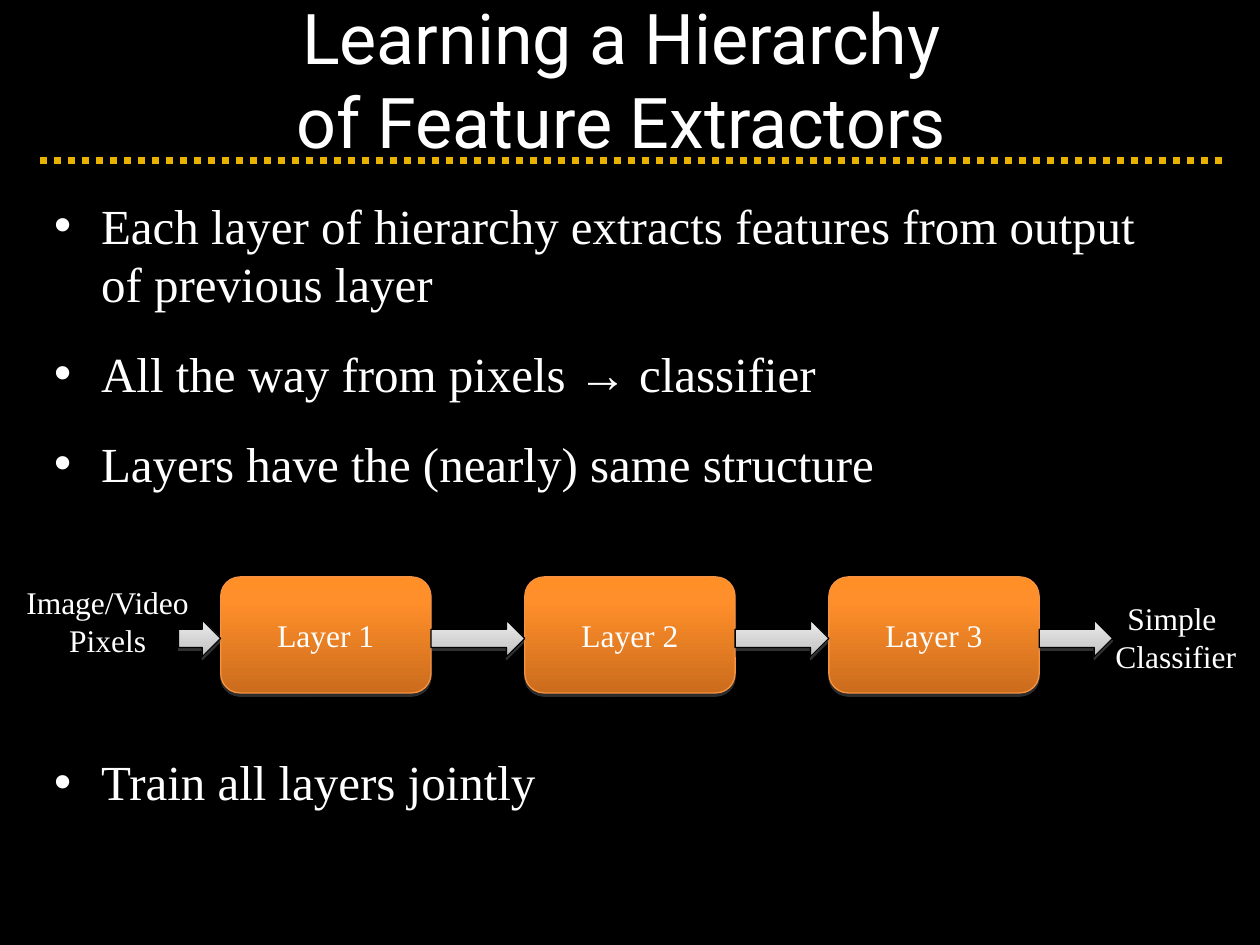
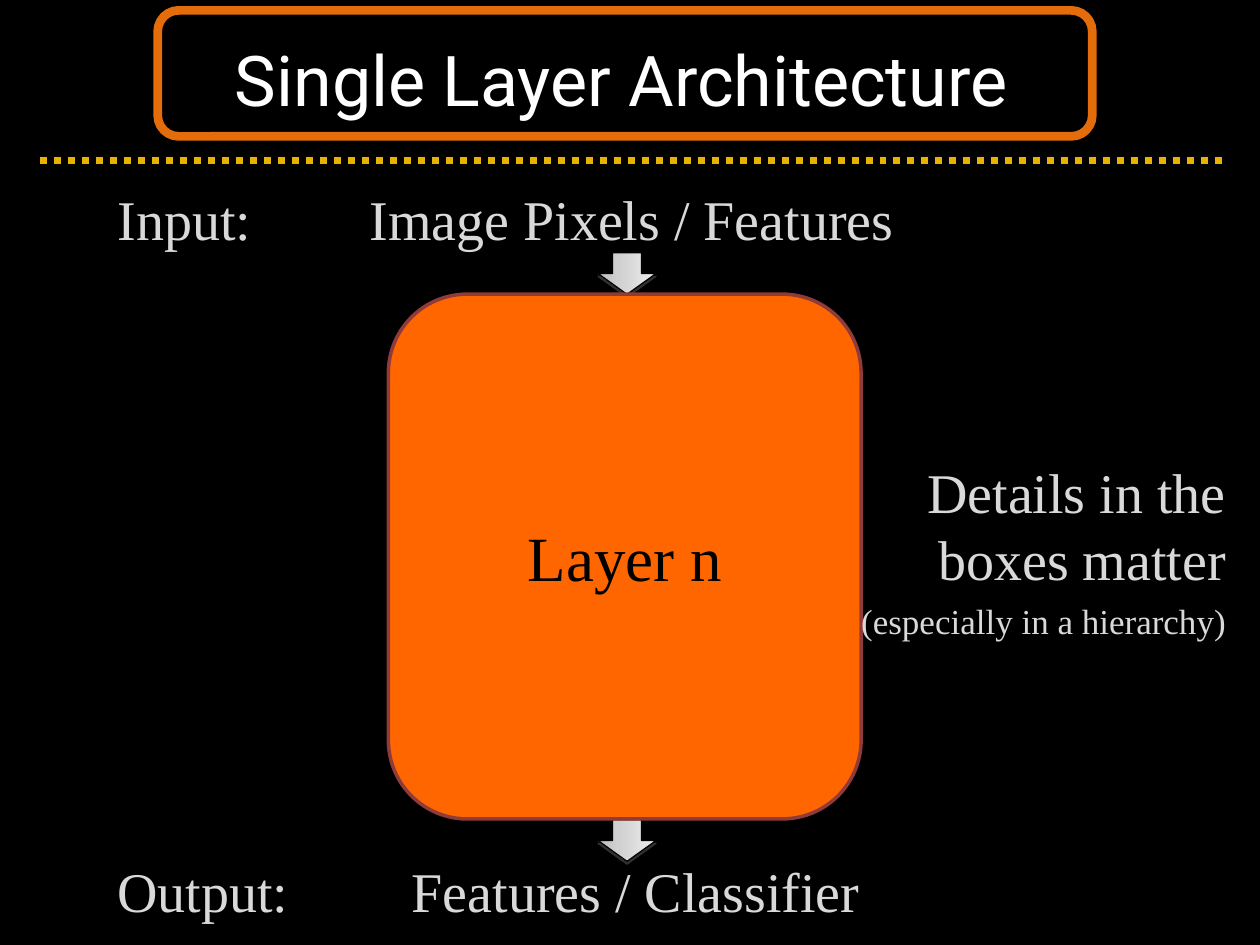
from lxml import etree
from pptx import Presentation
from pptx.dml.color import RGBColor
from pptx.enum.dml import MSO_LINE
from pptx.enum.shapes import MSO_CONNECTOR, MSO_SHAPE
from pptx.enum.text import MSO_ANCHOR, MSO_AUTO_SIZE, PP_ALIGN
from pptx.oxml.ns import qn
from pptx.util import Cm, Pt

LEFT, CENTER, RIGHT = PP_ALIGN.LEFT, PP_ALIGN.CENTER, PP_ALIGN.RIGHT
TOP, MIDDLE = MSO_ANCHOR.TOP, MSO_ANCHOR.MIDDLE
ROUNDED, ARROW = MSO_SHAPE.ROUNDED_RECTANGLE, MSO_SHAPE.RIGHT_ARROW
STRAIGHT, DOTTED = MSO_CONNECTOR.STRAIGHT, MSO_LINE.ROUND_DOT
NO_FIT = MSO_AUTO_SIZE.NONE

TITLE_FONT, BODY_FONT = "Roboto", "Times New Roman"
BLACK, WHITE, LIGHT_GREY = "000000", "FFFFFF", "D9D9D9"
GOLD, ORANGE, DARK_ORANGE, MAROON = "EAB200", "FF6600", "E46C0A", "8E3B39"
LAYER_EDGE, SHADOW = "F69240", "808080"
LAYER_GRADIENT = [(0, "FF8F26"), (20, "FF8F2A"), (100, "CB6C1D")]
ARROW_GRADIENT = [(0, "EDEDED"), (65, "D0D0D0"), (100, "BCBCBC")]
BULLET_INDENT = Cm(0.95)


def color(hex_value):
    return RGBColor.from_string(hex_value)


def write_text(para, text, size=18, font=BODY_FONT, fill=WHITE, align=LEFT,
               before=0, after=0):
    para.text = text
    para.alignment = align
    para.space_before, para.space_after = Pt(before), Pt(after)
    for span in para.runs:
        span.font.size = Pt(size)
        span.font.name = font
        span.font.color.rgb = color(fill)


def set_bullet(para):
    properties = para._p.get_or_add_pPr()
    properties.set("marL", str(BULLET_INDENT))
    properties.set("indent", str(-BULLET_INDENT))
    etree.SubElement(properties, qn("a:buFont"), typeface="Arial")
    etree.SubElement(properties, qn("a:buChar"), char="•")


def set_tab(para, position):
    tabs = etree.SubElement(para._p.get_or_add_pPr(), qn("a:tabLst"))
    etree.SubElement(tabs, qn("a:tab"), pos=str(Cm(position)), algn="l")


def set_gradient(shape, stops):
    shape.fill.gradient()
    shape.fill.gradient_angle = 270
    stop_list = shape._element.spPr.find(".//" + qn("a:gsLst"))
    for stop in list(stop_list):
        stop_list.remove(stop)
    for percent, hex_value in stops:
        stop = etree.SubElement(stop_list, qn("a:gs"), pos=str(percent * 1000))
        etree.SubElement(stop, qn("a:srgbClr"), val=hex_value)


def set_shadow(shape, distance, opacity):
    effects = shape._element.spPr.find(qn("a:effectLst"))
    shadow = etree.SubElement(effects, qn("a:outerShdw"), blurRad="0",
                              dist=str(Pt(distance)), dir="5400000",
                              rotWithShape="0")
    tint = etree.SubElement(shadow, qn("a:srgbClr"), val=SHADOW)
    etree.SubElement(tint, qn("a:alpha"), val=str(opacity * 1000))


def add_block(page, kind, left, top, width, height, line, line_width,
              fill=None, gradient=None):
    shape = page.shapes.add_shape(kind, Cm(left), Cm(top), Cm(width), Cm(height))
    shape.shadow.inherit = False
    if gradient:
        set_gradient(shape, gradient)
    elif fill:
        shape.fill.solid()
        shape.fill.fore_color.rgb = color(fill)
    else:
        shape.fill.background()
    shape.line.color.rgb = color(line)
    shape.line.width = Pt(line_width)
    return shape


def add_label(shape, text, **text_format):
    shape.text_frame.vertical_anchor = MIDDLE
    write_text(shape.text_frame.paragraphs[0], text, align=CENTER, **text_format)


def add_arrow(page, left, top, width, height, rotation=0):
    arrow = add_block(page, ARROW, left, top, width, height, BLACK, 0.75,
                      gradient=ARROW_GRADIENT)
    arrow.rotation = rotation
    set_shadow(arrow, 1.6, 38)


def add_layer(page, left, top, width, height, text):
    layer = add_block(page, ROUNDED, left, top, width, height, LAYER_EDGE, 0.75,
                      gradient=LAYER_GRADIENT)
    set_shadow(layer, 1.8, 35)
    add_label(layer, text)


def add_text_box(page, left, top, width, height, wrap=True):
    box = page.shapes.add_textbox(Cm(left), Cm(top), Cm(width), Cm(height))
    box.text_frame.word_wrap = wrap
    box.text_frame.auto_size = NO_FIT
    box.text_frame.vertical_anchor = TOP
    return box.text_frame


def add_caption(page, left, top, width, height, text):
    frame = add_text_box(page, left, top, width, height, wrap=False)
    write_text(frame.paragraphs[0], text, align=CENTER)


def add_bullets(page, top, items):
    frame = add_text_box(page, 0.84, top, 22.86, 4.65)
    for index, item in enumerate(items):
        para = frame.add_paragraph() if index else frame.paragraphs[0]
        set_bullet(para)
        write_text(para, item, size=28, before=5.6 if index else 0, after=12)


def add_tabbed_line(page, top, tab, text):
    para = add_text_box(page, 2.12, top, 18.2, 1.9).paragraphs[0]
    set_tab(para, tab)
    write_text(para, text, size=32, fill=LIGHT_GREY)


def add_page(deck, title_text):
    page = deck.slides.add_slide(deck.slide_layouts[5])
    title = page.shapes.title
    title.left, title.top, title.width, title.height = Cm(1.27), Cm(0), Cm(22.86), Cm(3.18)
    title.text_frame.auto_size = NO_FIT
    add_label(title, title_text, size=40, font=TITLE_FONT)
    rule = page.shapes.add_connector(STRAIGHT, Cm(0.81), Cm(3.23), Cm(24.77), Cm(3.23))
    rule.line.color.rgb = color(GOLD)
    rule.line.width = Pt(4)
    rule.line.dash_style = DOTTED
    etree.SubElement(rule._element.spPr, qn("a:effectLst"))
    return page


def build_hierarchy(deck):
    page = add_page(deck, "Learning a Hierarchy \vof Feature Extractors ")
    add_bullets(page, 3.81, [
        "Each layer of hierarchy extracts features from output of previous layer",
        "All the way from pixels → classifier",
        "Layers have the (nearly) same structure",
    ])
    first_left, layer_width, pitch = 4.45, 4.24, 6.13
    layer_lefts = [first_left + pitch * index for index in range(3)]
    for number, left in enumerate(layer_lefts, start=1):
        add_layer(page, left, 11.63, layer_width, 2.34, f"Layer {number}")
    arrow_starts = [3.6] + [left + layer_width for left in layer_lefts]
    arrow_ends = layer_lefts + [22.43]
    for start, end in zip(arrow_starts, arrow_ends):
        add_arrow(page, start, 12.5, end - start, 0.74)
    add_caption(page, 22.22, 11.96, 2.97, 1.8, "Simple \vClassifier")
    add_caption(page, 0.2, 11.63, 3.94, 1.8, "Image/Video\vPixels")
    add_bullets(page, 15.03, ["Train all layers jointly"])


def build_single_layer(deck):
    page = add_page(deck, "Single Layer Architecture ")
    add_block(page, ROUNDED, 3.18, 0.21, 18.84, 2.54, DARK_ORANGE, 5)
    add_tabbed_line(page, 3.6, 5.08, "Input:\tImage Pixels / Features")
    add_tabbed_line(page, 17.15, 5.93, "Output:\tFeatures / Classifier")
    for top in (4.93, 16.36):
        add_arrow(page, 12.22, top, 0.84, 1.17, rotation=90)
    layer = add_block(page, ROUNDED, 7.83, 5.93, 9.53, 10.58, MAROON, 2, fill=ORANGE)
    add_label(layer, "Layer n", size=36, fill=BLACK)
    remark = add_text_box(page, 16.72, 9.1, 8.25, 1.9)
    write_text(remark.paragraphs[0], "Details in the boxes matter", size=32,
               fill=LIGHT_GREY, align=RIGHT)
    write_text(remark.add_paragraph(), "(especially in a hierarchy)", size=20,
               fill=LIGHT_GREY, align=RIGHT, before=4)


def main():
    deck = Presentation()
    deck.slide_width, deck.slide_height = Cm(25.4), Cm(19.05)
    backdrop = deck.slide_master.background.fill
    backdrop.solid()
    backdrop.fore_color.rgb = color(BLACK)
    build_hierarchy(deck)
    build_single_layer(deck)
    deck.save("out.pptx")


if __name__ == "__main__":
    main()
